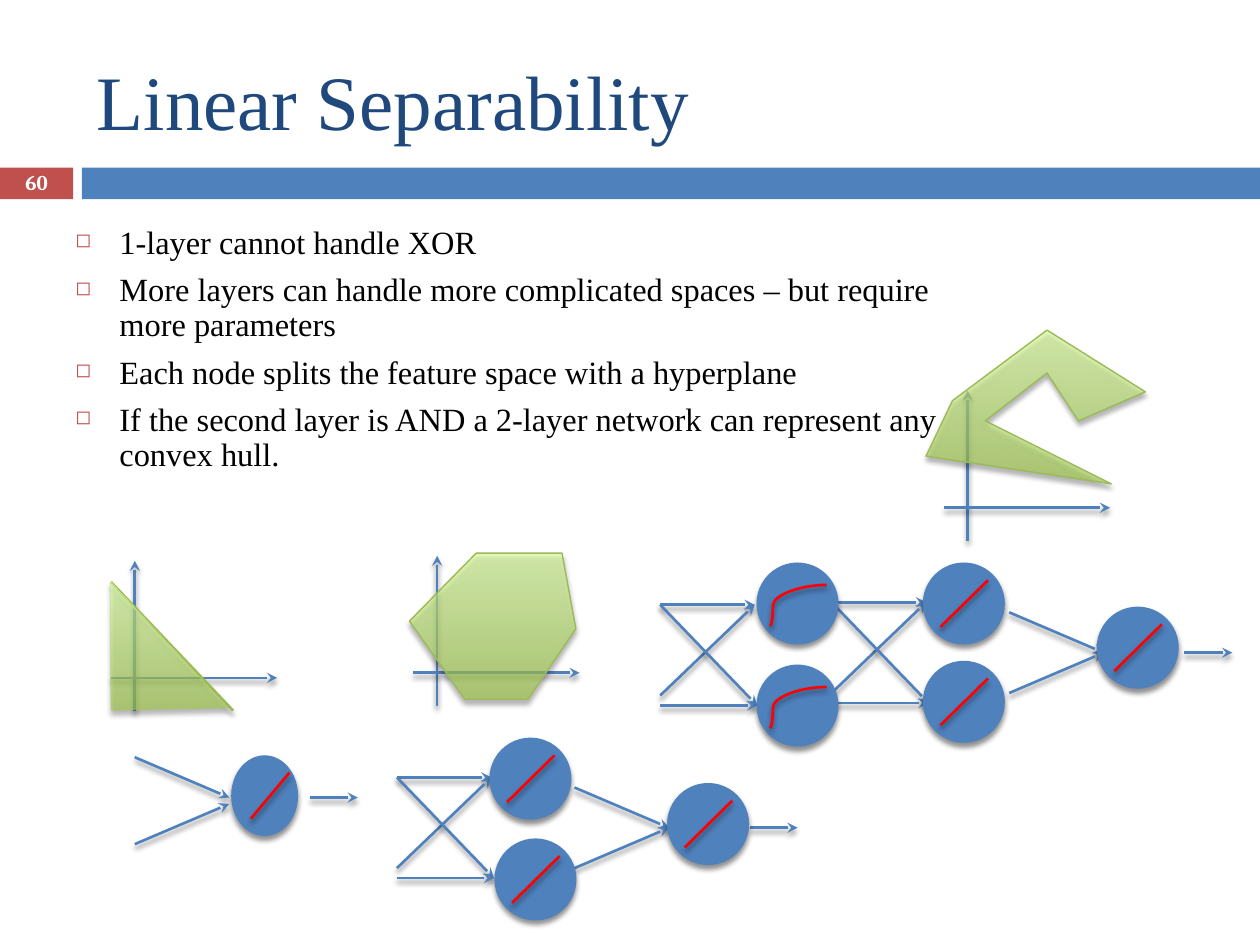
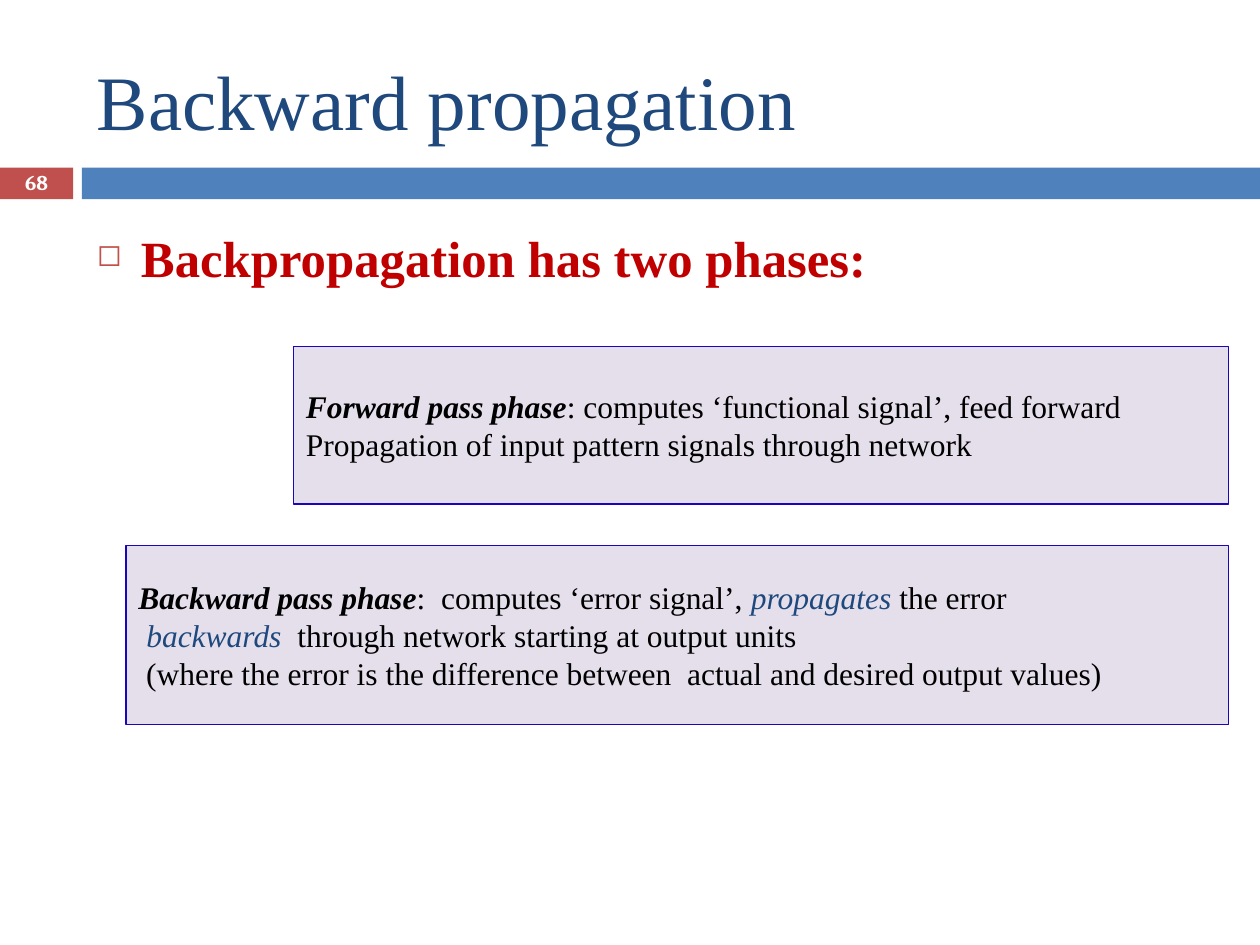
from lxml import etree
from pptx import Presentation
from pptx.dml.color import RGBColor
from pptx.enum import shapes, text
from pptx.oxml.ns import qn
from pptx.util import Inches, Pt

COLOURS = {
    "blue": "4F81BD", "red": "C0504D", "navy": "1F497D", "black": "000000",
    "white": "FFFFFF", "crimson": "C00000", "mark": "FF0000", "olive": "9BBB59",
    "moss": "A0C94A", "lime": "DBFF9C", "lilac": "E5DFEC", "indigo": "1A04BE",
}
SERIF, NUMBER_FONT = "Times New Roman", "Cambria"
BAND_TOP, BAND_HEIGHT, TAB_WIDTH = 1.33, 0.25, 0.58

SEPARABILITY = {
    "title": "Linear Separability", "number": "60",
    "body_at": (0.5, 1.75, 7.04, 2.15),
    "bullets": [
        "1-layer cannot handle XOR",
        "More layers can handle more complicated spaces – but require more parameters",
        "Each node splits the feature space with a hyperplane",
        "If the second layer is AND a 2-layer network can represent any convex hull.",
    ],
    "bullet_style": dict(size=18.5),
    "bullet_spacing": 0.9,
}
PROPAGATION = {
    "title": "Backward propagation", "number": "68",
    "body_at": (0.67, 1.75, 8.92, 4.92),
    "bullets": ["Backpropagation has two phases:"],
    "bullet_style": dict(size=29, colour="crimson", bold=True),
    "bullet_spacing": None,
}

HEADING = dict(bold=True, italic=True)
TERM = dict(colour="navy", italic=True)
PHASES = [
    ((1, 4.33, 8.75, 1.42), [
        [("Backward pass phase", HEADING), (":  computes ‘error signal’, ", {}),
         ("propagates ", TERM), ("the error", {})],
        [(" ", {}), ("backwards", TERM),
         ("  through network starting at output units", {})],
        [(" (where the error is the difference between  actual and desired output values)", {})],
    ]),
    ((2.33, 2.75, 7.42, 1.25), [
        [("Forward pass phase", HEADING),
         (": computes ‘functional signal’, feed forward", {})],
        [("Propagation of input pattern signals through network", {})],
    ]),
]

HALF_PLANE = [(0.88, 4.62), (0.88, 5.64), (1.82, 5.62)]
BOUNDARY = (0.88, 4.62, 1.85, 5.64)
CONVEX_HULL = [(3.25, 4.93), (3.69, 5.55), (4.19, 5.55), (4.57, 4.99),
               (4.46, 4.39), (3.78, 4.39)]
CONCAVE_REGION = [(7.56, 3.18), (8.31, 2.62), (9.09, 3.11), (8.56, 3.34),
                  (8.31, 2.96), (7.82, 3.34), (8.82, 3.84), (7.35, 3.62)]
PLOTS = [
    ((1.07, 5.38), HALF_PLANE, BOUNDARY),
    ((3.47, 5.34), CONVEX_HULL, None),
    ((7.68, 4.03), CONCAVE_REGION, None),
]
AXES = [(0, 0.26, 0, -0.93), (-0.19, 0, 1.13, 0)]

CROSS = [(0, 0, 0.75, 0), (0, 0.72, 0.75, 0), (0, 0, 0.77, 0.8), (0, 0.8, 0.77, 0.8)]
MERGE = [(0, 0, 0.75, 0.32), (0, 0.64, 0.75, 0.32), (1.39, 0.32, 1.77, 0.32)]
WIDE_MERGE = [(0, 0, 0.75, 0.32), (0, 0.69, 0.75, 0.37), (1.39, 0.32, 1.77, 0.32)]
WIRING = [
    ((1.07, 6.01), WIDE_MERGE),
    ((4.56, 6.25), MERGE), ((3.15, 6.17), CROSS),
    ((8.01, 4.86), MERGE), ((6.6, 4.78), CROSS), ((5.24, 4.8), CROSS),
]

SLASH, RIGHT_SLASH = (0.21, 0.79, 0.8, 0.21), (0.29, 0.79, 0.88, 0.21)
BEND = (0.16, 0.78, 0.86, 0.27)
ROUND = (0.64, 0.64)
NEURONS = [
    ((6.01, 4.47), ROUND, BEND), ((6.01, 5.28), ROUND, BEND),
    ((3.89, 5.86), ROUND, SLASH), ((3.93, 6.66), ROUND, SLASH),
    ((7.33, 4.47), ROUND, SLASH), ((7.33, 5.25), ROUND, SLASH),
    ((8.71, 4.82), ROUND, SLASH), ((5.3, 6.22), ROUND, SLASH),
    ((1.84, 6), (0.52, 0.63), RIGHT_SLASH),
]


def rgb(name):
    return RGBColor.from_string(COLOURS[name])


def child(parent, tag, **attributes):
    return etree.SubElement(parent, qn(tag), {k: str(v) for k, v in attributes.items()})


def inches(values):
    return [Inches(value) for value in values]


def shifted(origin, ends):
    x, y = origin
    return x + ends[0], y + ends[1], x + ends[2], y + ends[3]


def add_shadow(effects):
    shadow = child(effects, "a:outerShdw", blurRad=Pt(3), dist=Pt(2.4),
                   dir=5400000, rotWithShape=0)
    child(child(shadow, "a:srgbClr", val=COLOURS["black"]), "a:alpha", val=44000)


def add_span(para, words, size, colour="black", bold=False, italic=False, face=SERIF):
    span = para.add_run()
    span.text = words
    font = span.font
    font.size, font.name, font.bold, font.italic = Pt(size), face, bold, italic
    font.color.rgb = rgb(colour)


def add_text_box(page, at, anchor=text.MSO_ANCHOR.TOP):
    frame = page.shapes.add_textbox(*inches(at)).text_frame
    frame.word_wrap = True
    frame.vertical_anchor = anchor
    return frame


def next_para(frame, index):
    return frame.add_paragraph() if index else frame.paragraphs[0]


def add_box(page, kind, at, fill, edge=None, width=1):
    box = page.shapes.add_shape(kind, *inches(at))
    box.fill.solid()
    box.fill.fore_color.rgb = rgb(fill)
    if edge:
        box.line.color.rgb = rgb(edge)
        box.line.width = Pt(width)
    else:
        box.line.fill.background()
    box.shadow.inherit = False
    return box


def add_line(page, ends, colour="blue", arrow=False, bend=None):
    kind = shapes.MSO_CONNECTOR.CURVE if bend else shapes.MSO_CONNECTOR.STRAIGHT
    line = page.shapes.add_connector(kind, *inches(ends))
    line.line.color.rgb = rgb(colour)
    line.line.width = Pt(1.5)
    properties = line._element.spPr
    if arrow:
        child(properties.find(qn("a:ln")), "a:tailEnd", type="stealth")
    if bend:
        guides = properties.find(qn("a:prstGeom")).find(qn("a:avLst"))
        child(guides, "a:gd", name="adj1", fmla=f"val {bend}")
    add_shadow(child(properties, "a:effectLst"))


def add_region(page, corners, closed):
    points = [inches(corner) for corner in corners]
    builder = page.shapes.build_freeform(*points[0])
    builder.add_line_segments(points[1:], close=closed)
    region = builder.convert_to_shape()
    region.fill.gradient()
    region.fill.gradient_angle = 90
    for stop, colour, place in zip(region.fill.gradient_stops, ("moss", "lime"), (0, 1)):
        stop.color.rgb = rgb(colour)
        stop.position = place
    for tint in region._element.spPr.find(qn("a:gradFill")).iter(qn("a:srgbClr")):
        child(tint, "a:alpha", val=64000)
    if closed:
        region.line.color.rgb = rgb("olive")
        region.line.width = Pt(0.79)
    else:
        region.line.fill.background()
    region.shadow.inherit = False
    add_shadow(region._element.spPr.find(qn("a:effectLst")))


def add_neuron(page, corner, size, mark):
    box = add_box(page, shapes.MSO_SHAPE.OVAL, corner + size, "blue", "blue", 0.79)
    add_shadow(box._element.spPr.find(qn("a:effectLst")))
    ends = [share * length for share, length in zip(mark, size * 2)]
    add_line(page, shifted(corner, ends), "mark", bend=5100 if mark is BEND else None)


def add_bullets(page, content):
    frame = add_text_box(page, content["body_at"])
    for index, words in enumerate(content["bullets"]):
        para = next_para(frame, index)
        if content["bullet_spacing"]:
            para.line_spacing = content["bullet_spacing"]
        if index:
            para.space_before = Pt(7)
        properties = para._p.get_or_add_pPr()
        properties.set("marL", str(Inches(0.35)))
        properties.set("indent", str(-Inches(0.35)))
        child(child(properties, "a:buClr"), "a:srgbClr", val=COLOURS["red"])
        child(properties, "a:buSzPct", val=60000)
        child(properties, "a:buChar", char="◻")
        add_span(para, words, **content["bullet_style"])


def add_page(deck, content):
    page = deck.slides.add_slide(deck.slide_layouts[6])
    for left, width, fill in ((0, TAB_WIDTH, "red"), (0.65, 9.35, "blue")):
        add_box(page, shapes.MSO_SHAPE.RECTANGLE,
                (left, BAND_TOP, width, BAND_HEIGHT), fill)
    title = add_text_box(page, (0.67, 0.25, 8.92, 1.08), text.MSO_ANCHOR.MIDDLE)
    add_span(title.paragraphs[0], content["title"], 44, "navy")
    add_bullets(page, content)
    number = add_text_box(page, (0, BAND_TOP, TAB_WIDTH, 0.27), text.MSO_ANCHOR.MIDDLE)
    para = number.paragraphs[0]
    para.alignment = text.PP_ALIGN.CENTER
    para.line_spacing = 0.8
    add_span(para, content["number"], 12, "white", bold=True, face=NUMBER_FONT)
    return page


def draw_networks(page):
    for origin, corners, boundary in PLOTS:
        for axis in AXES:
            add_line(page, shifted(origin, axis), arrow=True)
        if boundary:
            add_line(page, boundary, "olive")
        add_region(page, corners, closed=boundary is None)
    for origin, wires in WIRING:
        for wire in wires:
            add_line(page, shifted(origin, wire), arrow=True)
    for neuron in NEURONS:
        add_neuron(page, *neuron)


def draw_phases(page):
    for at, lines in PHASES:
        box = add_box(page, shapes.MSO_SHAPE.RECTANGLE, at, "lilac", "indigo")
        frame = box.text_frame
        frame.word_wrap = True
        frame.vertical_anchor = text.MSO_ANCHOR.MIDDLE
        for index, spans in enumerate(lines):
            para = next_para(frame, index)
            para.alignment = text.PP_ALIGN.LEFT
            for words, style in spans:
                add_span(para, words, 18, **style)


def main():
    deck = Presentation()
    deck.slide_width, deck.slide_height = Inches(10), Inches(7.5)
    draw_networks(add_page(deck, SEPARABILITY))
    draw_phases(add_page(deck, PROPAGATION))
    deck.save("out.pptx")


if __name__ == "__main__":
    main()
